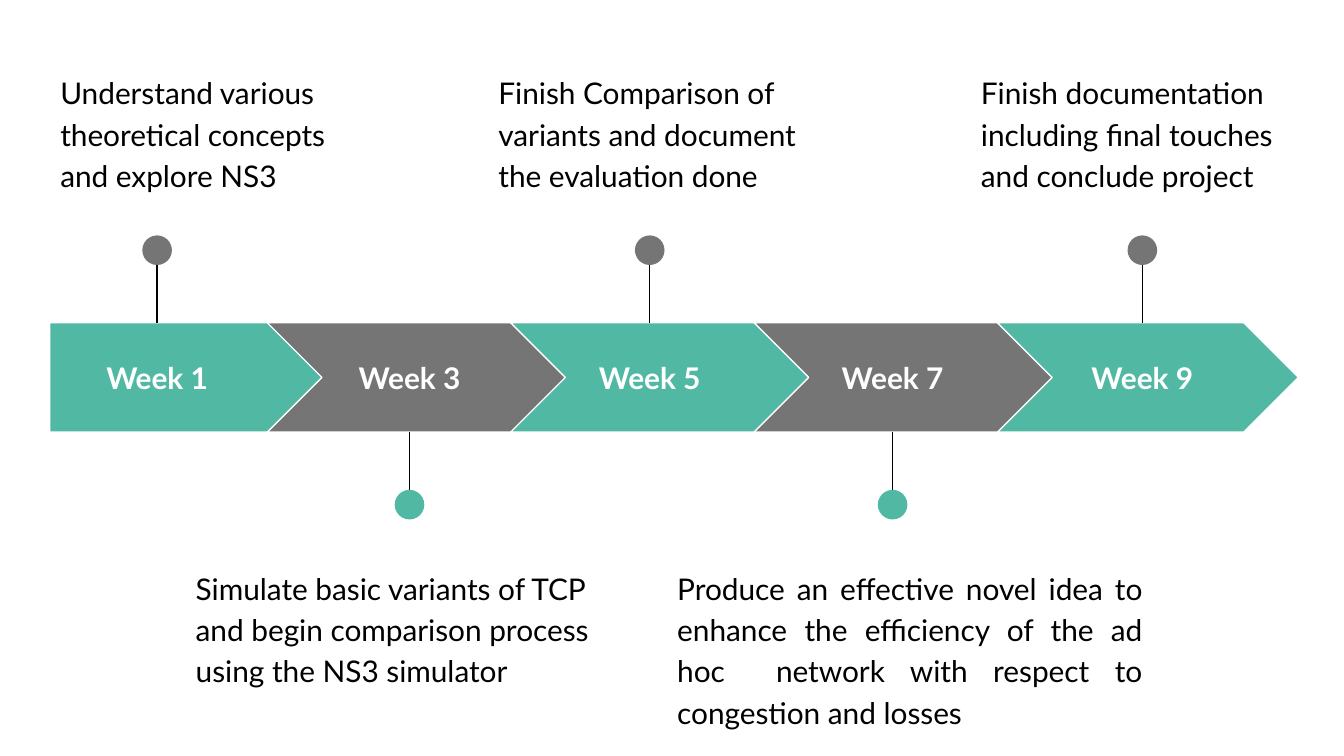
from dataclasses import dataclass

import pptx
import pptx.dml.color
import pptx.enum.shapes
import pptx.enum.text
import pptx.oxml
import pptx.oxml.ns
import pptx.util

Cm = pptx.util.Cm
Pt = pptx.util.Pt
RGB = pptx.dml.color.RGBColor.from_string
SHAPE = pptx.enum.shapes.MSO_SHAPE
ALIGN = pptx.enum.text.PP_ALIGN
ANCHOR = pptx.enum.text.MSO_ANCHOR


@dataclass(frozen=True)
class Theme:
    teal: str = "51B9A3"
    gray: str = "757575"
    white: str = "FFFFFF"
    black: str = "000000"
    font: str = "Lato"
    text_size: float = 16
    line_width: float = 0.75


theme = Theme()
deck = pptx.Presentation()
deck.slide_width, deck.slide_height = Cm(25.4), Cm(14.29)
slide = deck.slides.add_slide(deck.slide_layouts[6])


def add_text(text, left, top, width, height, color=theme.black, bold=False,
             align=ALIGN.LEFT, anchor=ANCHOR.TOP, line_spacing=1.0):
    frame = slide.shapes.add_textbox(Cm(left), Cm(top), Cm(width), Cm(height)).text_frame
    frame.word_wrap = True
    frame.vertical_anchor = anchor
    frame.margin_left = frame.margin_right = Cm(0.25)
    frame.margin_top = frame.margin_bottom = Cm(0.25)
    paragraph = frame.paragraphs[0]
    paragraph.text = text
    paragraph.alignment = align
    paragraph.line_spacing = line_spacing
    paragraph.font.name = theme.font
    paragraph.font.size = Pt(theme.text_size)
    paragraph.font.bold = bold
    paragraph.font.color.rgb = RGB(color)


def add_filled(kind, left, top, width, height, fill, outline=None):
    shape = slide.shapes.add_shape(kind, Cm(left), Cm(top), Cm(width), Cm(height))
    shape.shadow.inherit = False
    shape.fill.solid()
    shape.fill.fore_color.rgb = RGB(fill)
    if outline:
        shape.line.color.rgb = RGB(outline)
        shape.line.width = Pt(theme.line_width)
    else:
        shape.line.fill.background()


# Week, pin centre, caption left and width (cm), caption alignment, caption
milestones = [
    ("Week 1", 2.97, 0.89, 6.22, ALIGN.LEFT,
     "Understand various theoretical concepts and explore NS3"),
    ("Week 3", 7.74, 3.45, 8.38, ALIGN.LEFT,
     "Simulate basic variants of TCP and begin comparison process using the NS3 simulator"),
    ("Week 5", 12.28, 9.17, 6.76, ALIGN.LEFT,
     "Finish Comparison of variants and document the evaluation done"),
    ("Week 7", 16.87, 12.55, 9.3, ALIGN.JUSTIFY,
     "Produce an effective novel idea to enhance the efficiency of the ad hoc  network "
     "with respect to congestion and losses"),
    ("Week 9", 21.59, 18.29, 6.5, ALIGN.LEFT,
     "Finish documentation including final touches and conclude project"),
]

band_top, band_height = 6.1, 2.07
band_bottom = band_top + band_height
chevron_left, chevron_width, chevron_pitch = 5.05, 5.69, 4.6
label_width, label_height = 3.66, 1.3
dot_size, pin_length = 0.56, 1.37

for index, (week, pin_x, caption_left, caption_width, align, caption) in enumerate(milestones):
    above = index % 2 == 0
    band_color, dot_color = (theme.teal, theme.gray) if above else (theme.gray, theme.teal)

    if index == 0:
        add_filled(SHAPE.PENTAGON, 0.94, band_top, 5.21, band_height,
                   band_color, outline=theme.white)
    else:
        add_filled(SHAPE.CHEVRON, chevron_left + (index - 1) * chevron_pitch, band_top,
                   chevron_width, band_height, band_color, outline=theme.white)
    add_text(week, pin_x - label_width / 2, band_top + (band_height - label_height) / 2,
             label_width, label_height, color=theme.white, bold=True,
             align=ALIGN.CENTER, anchor=ANCHOR.MIDDLE)

    band_edge = band_top if above else band_bottom
    dot_y = band_edge - pin_length if above else band_edge + pin_length
    pin = slide.shapes.add_connector(pptx.enum.shapes.MSO_CONNECTOR.STRAIGHT,
                                     Cm(pin_x), Cm(dot_y), Cm(pin_x), Cm(band_edge))
    pin.line.color.rgb = RGB(theme.black)
    pin.line.width = Pt(theme.line_width)
    pin_properties = pin.element.find(pptx.oxml.ns.qn("p:spPr"))
    pin_properties.append(pin_properties.makeelement(pptx.oxml.ns.qn("a:effectLst"), {}))
    add_filled(SHAPE.OVAL, pin_x - dot_size / 2, dot_y - dot_size / 2,
               dot_size, dot_size, dot_color)

    add_text(caption, caption_left, 1.07 if above else 10.44, caption_width, 2.51,
             align=align, line_spacing=1.15)

deck.save("out.pptx")
